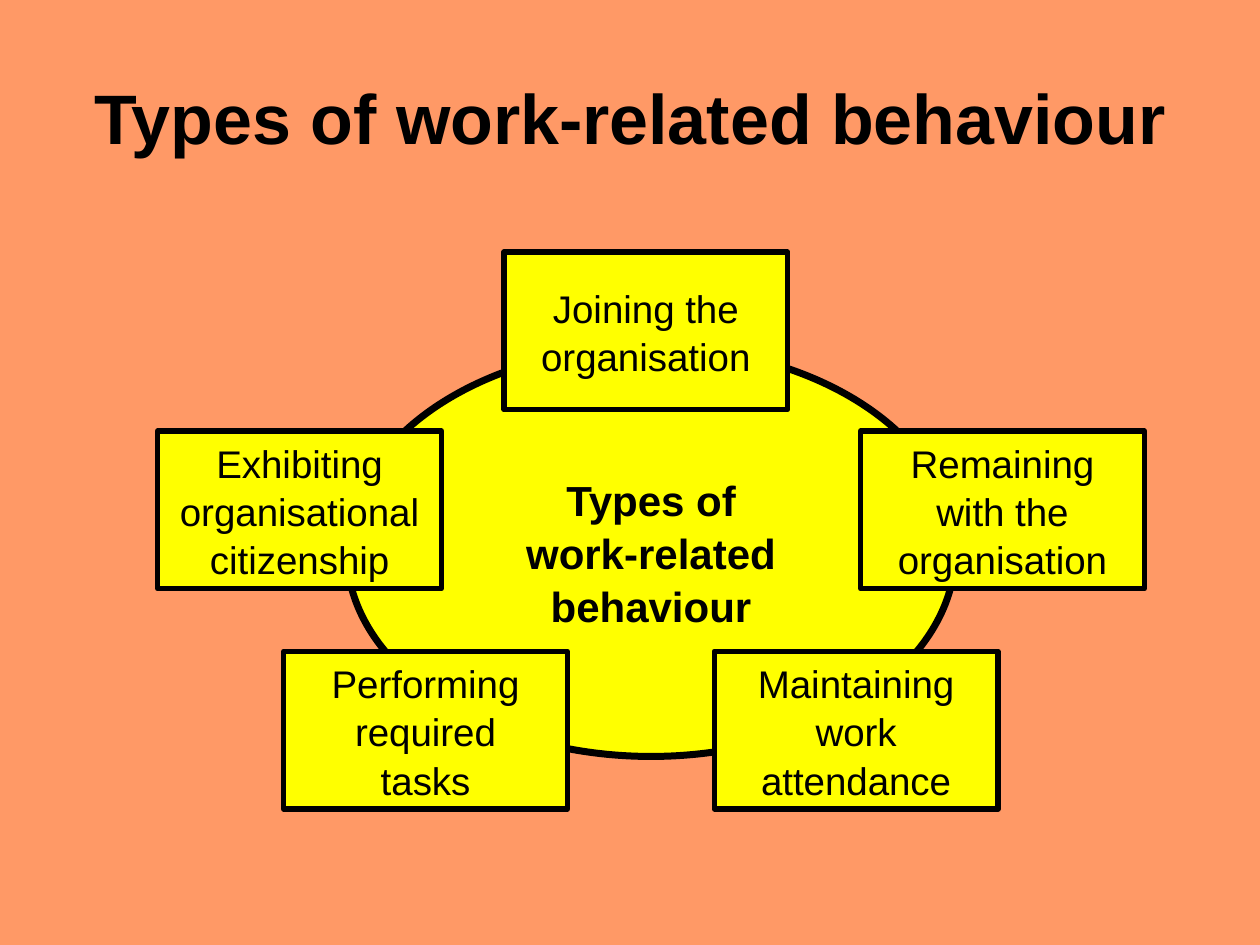
from dataclasses import dataclass

import pptx
import pptx.dml.color
import pptx.enum.shapes
import pptx.enum.text
import pptx.shapes.autoshape
import pptx.slide
import pptx.util

Cm = pptx.util.Cm
Pt = pptx.util.Pt
Color = pptx.dml.color.RGBColor
Preset = pptx.enum.shapes.MSO_SHAPE


@dataclass(frozen=True)
class Theme:
    background: Color = Color(0xFF, 0x99, 0x66)
    fill: Color = Color(0xFF, 0xFF, 0x00)
    ink: Color = Color(0x00, 0x00, 0x00)
    font: str = "Arial"
    title_size: int = 40
    hub_size: int = 24
    box_size: int = 22
    hub_line: int = 4
    box_line: int = 3
    line_spacing: float = 1.05


@dataclass(frozen=True)
class Behaviour:
    left: float
    top: float
    lines: tuple[str, ...]


THEME = Theme()
BOX_WIDTH, BOX_HEIGHT = 5.72, 3.18
TOP_ROW, MIDDLE_ROW, BOTTOM_ROW = 5.08, 8.69, 13.13

BEHAVIOURS = (
    Behaviour(10.16, TOP_ROW, ("Joining the", "organisation")),
    Behaviour(17.35, MIDDLE_ROW, ("Remaining", "with the", "organisation")),
    Behaviour(14.4, BOTTOM_ROW, ("Maintaining", "work", "attendance")),
    Behaviour(3.18, MIDDLE_ROW, ("Exhibiting", "organisational", "citizenship")),
    Behaviour(5.72, BOTTOM_ROW, ("Performing", "required", "tasks")),
)


def write_lines(box: pptx.shapes.autoshape.Shape, lines: tuple[str, ...],
                size: int, bold: bool, wrap: bool) -> None:
    """Centre the lines in the box as one paragraph with line breaks."""
    frame = box.text_frame
    frame.word_wrap = wrap
    frame.vertical_anchor = pptx.enum.text.MSO_ANCHOR.MIDDLE
    para = frame.paragraphs[0]
    para.alignment = pptx.enum.text.PP_ALIGN.CENTER
    if len(lines) > 1:
        para.line_spacing = THEME.line_spacing
    for index, line in enumerate(lines):
        if index:
            para.add_line_break()
        span = para.add_run()
        span.text = line
        span.font.name = THEME.font
        span.font.size = Pt(size)
        span.font.bold = bold
        span.font.color.rgb = THEME.ink


def add_node(page: pptx.slide.Slide, preset: Preset, left: float, top: float,
             width: float, height: float, line_width: int
             ) -> pptx.shapes.autoshape.Shape:
    """Draw a filled, outlined shape."""
    node = page.shapes.add_shape(preset, Cm(left), Cm(top), Cm(width), Cm(height))
    node.shadow.inherit = False
    node.fill.solid()
    node.fill.fore_color.rgb = THEME.fill
    node.line.color.rgb = THEME.ink
    node.line.width = Pt(line_width)
    return node


def main() -> None:
    deck = pptx.Presentation()
    deck.slide_width, deck.slide_height = Cm(25.4), Cm(19.05)
    page = deck.slides.add_slide(deck.slide_layouts[6])
    page.background.fill.solid()
    page.background.fill.fore_color.rgb = THEME.background

    # Central ellipse
    hub = add_node(page, Preset.OVAL, 6.99, 6.99, 12.27, 8.26, THEME.hub_line)
    write_lines(hub, ("Types of", "work-related", "behaviour"),
                THEME.hub_size, bold=True, wrap=False)

    # Behaviours around the ellipse
    for behaviour in BEHAVIOURS:
        box = add_node(page, Preset.RECTANGLE, behaviour.left, behaviour.top,
                       BOX_WIDTH, BOX_HEIGHT, THEME.box_line)
        write_lines(box, behaviour.lines, THEME.box_size, bold=False, wrap=False)

    # Title
    title = page.shapes.add_textbox(Cm(1.27), Cm(0.76), Cm(22.86), Cm(3.18))
    write_lines(title, ("Types of work-related behaviour",),
                THEME.title_size, bold=True, wrap=True)

    deck.save("out.pptx")


if __name__ == "__main__":
    main()
